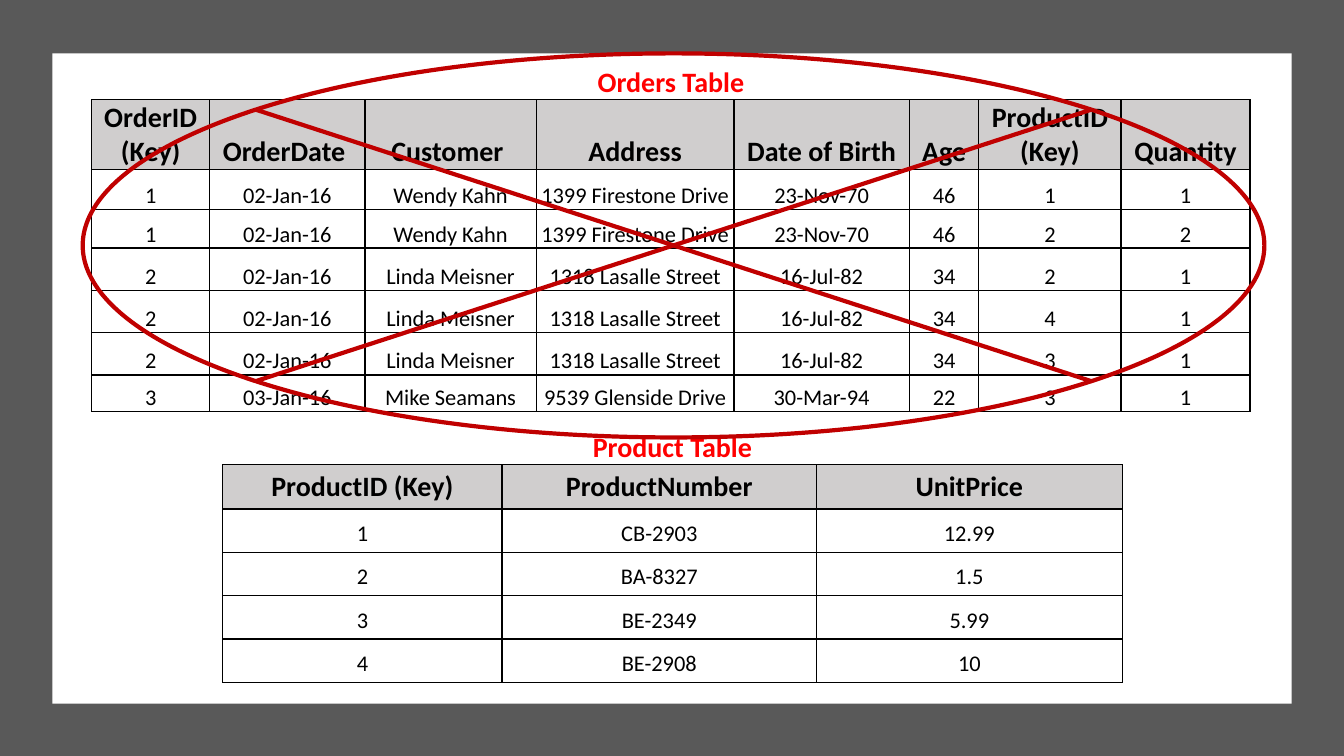
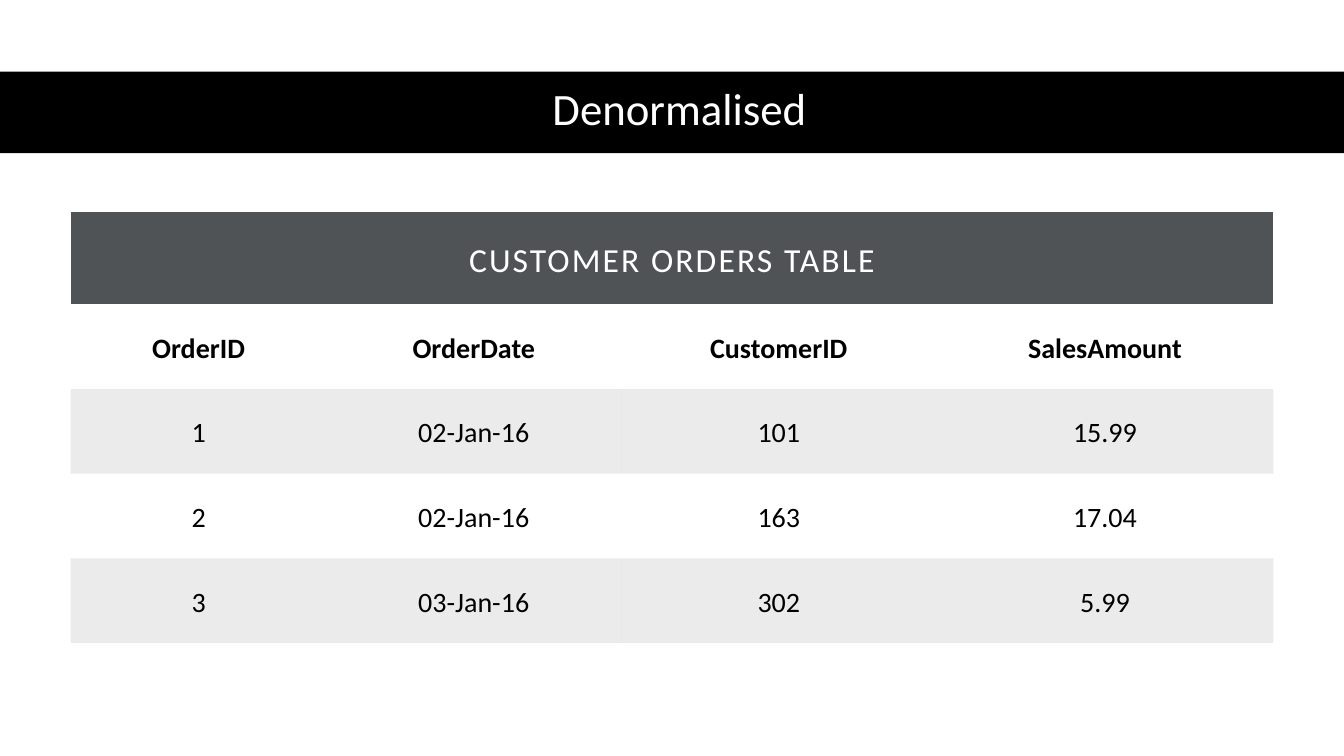
from lxml import etree
from pptx import Presentation
from pptx.dml.color import RGBColor
from pptx.enum.shapes import MSO_SHAPE as Shape
from pptx.enum.text import MSO_ANCHOR as Anchor, PP_ALIGN as Align
from pptx.oxml.ns import qn
from pptx.util import Inches, Pt

BLACK, WHITE, RED, CROSS_RED = "000000", "FFFFFF", "FF0000", "C00000"
BACKDROP, HEADER_GREY, TITLE_GREY = "595959", "D0CECE", "505356"
PLAIN_TABLE_STYLE = "{2D5ABB26-0587-4C30-8999-92F81FD0307C}"


def rgb(value):
    return RGBColor.from_string(value)


class Deck:
    """Holds the shared style and the slide being built."""

    font = "Calibri"

    def __init__(self):
        self.prs = Presentation()
        self.prs.slide_width, self.prs.slide_height = Inches(13.33), Inches(7.5)
        self.slide = None

    def new_slide(self, layout):
        self.slide = self.prs.slides.add_slide(
            self.prs.slide_layouts.get_by_name(layout))

    def shape(self, preset, left, top, width, height, fill=None, line=None):
        shape = self.slide.shapes.add_shape(
            preset, Inches(left), Inches(top), Inches(width), Inches(height))
        shape.shadow.inherit = False
        if fill:
            shape.fill.solid()
            shape.fill.fore_color.rgb = rgb(fill)
        else:
            shape.fill.background()
        if line:
            shape.line.color.rgb = rgb(line)
            shape.line.width = Pt(3)
        else:
            shape.line.fill.background()
        return shape

    def add_text(self, frame, text, size, color, bold=False, spacing=0):
        paragraph = frame.paragraphs[0]
        paragraph.alignment = Align.CENTER
        run = paragraph.add_run()
        run.text = text
        font = run.font
        font.name, font.size, font.bold = self.font, Pt(size), bold
        font.color.rgb = rgb(color)
        if spacing:
            run._r.get_or_add_rPr().set("spc", str(int(spacing * 100)))
        return paragraph

    def banner_title(self, text):
        band = self.shape(Shape.RECTANGLE, 0, 0.71, 13.33, 0.81, BLACK)
        title = self.slide.shapes.title
        title.element.addprevious(band.element)  # keep the title in front
        title.left, title.top = Inches(0.61), Inches(0.7)
        title.width, title.height = Inches(12.26), Inches(0.81)
        title.text_frame.vertical_anchor = Anchor.MIDDLE
        self.add_text(title.text_frame, text, 32, WHITE).line_spacing = 0.9

    def border(self, cell):
        properties = cell._tc.get_or_add_tcPr()
        for side in ("lnL", "lnR", "lnT", "lnB"):
            line = etree.SubElement(properties, qn("a:" + side), w=str(Pt(1)))
            solid = etree.SubElement(line, qn("a:solidFill"))
            etree.SubElement(solid, qn("a:srgbClr"), val=BLACK)

    def fill_cell(self, cell, color, opacity=100):
        cell.fill.solid()
        cell.fill.fore_color.rgb = rgb(color)
        if opacity < 100:
            tint = cell._tc.tcPr.find(".//" + qn("a:srgbClr"))
            etree.SubElement(tint, qn("a:alpha"), val=str(opacity * 1000))

    def table(self, left, top, columns, heights, title, records, title_font,
              body_size, inset, title_inset=None, title_fill=None,
              header_fill=None, grid=False, banded=False):
        """A merged title row, a bold header row, then the records."""
        table = self.slide.shapes.add_table(
            len(heights), len(columns), Inches(left), Inches(top),
            Inches(sum(columns)), Inches(sum(heights))).table
        table.first_row = table.horz_banding = False
        table._tbl.tblPr.find(qn("a:tableStyleId")).text = PLAIN_TABLE_STYLE
        for column, width in zip(table.columns, columns):
            column.width = Inches(width)
        for row, height in zip(table.rows, heights):
            row.height = Inches(height)

        title_cell = table.cell(0, 0)
        title_cell.merge(table.cell(0, len(columns) - 1))
        self.add_text(title_cell.text_frame, title, **title_font)
        if title_fill:
            self.fill_cell(title_cell, title_fill)

        for r, row in enumerate(table.rows):
            margins = title_inset if r == 0 and title_inset else inset
            for c, cell in enumerate(row.cells):
                cell.vertical_anchor = Anchor.BOTTOM
                (cell.margin_left, cell.margin_top, cell.margin_right,
                 cell.margin_bottom) = (Inches(m) for m in margins)
                if r == 0:
                    continue
                header = r == 1
                if grid:
                    self.border(cell)
                if header and header_fill:
                    self.fill_cell(cell, header_fill)
                elif banded and r % 2 == 0:
                    self.fill_cell(cell, BLACK, opacity=8)
                self.add_text(cell.text_frame, records[r - 1][c],
                              20 if header else body_size, BLACK, bold=header)


def crossed_out_slide(deck):
    deck.new_slide("Blank")
    deck.shape(Shape.RECTANGLE, 0, 0, 13.33, 7.5, BACKDROP)
    deck.shape(Shape.RECTANGLE, 0.52, 0.53, 12.29, 6.45, WHITE)
    tight = (0.01, 0.01, 0.01, 0)
    grid_style = dict(title_font=dict(size=20, color=RED, bold=True),
                      body_size=16, header_fill=HEADER_GREY, grid=True)

    # Orders: customer details repeat on every order line
    wendy = ("Wendy Kahn", "1399 Firestone Drive", "23-Nov-70", "46")
    linda = ("Linda Meisner", "1318 Lasalle Street", "16-Jul-82", "34")
    mike = ("Mike Seamans", "9539 Glenside Drive", "30-Mar-94", "22")
    order_lines = [
        ("1", "02-Jan-16", wendy, "1", "1"),
        ("1", "02-Jan-16", wendy, "2", "2"),
        ("2", "02-Jan-16", linda, "2", "1"),
        ("2", "02-Jan-16", linda, "4", "1"),
        ("2", "02-Jan-16", linda, "3", "1"),
        ("3", "03-Jan-16", mike, "3", "1"),
    ]
    orders = [("OrderID (Key)", "OrderDate ", "Customer ", "Address",
               "Date of Birth", "Age", "ProductID (Key)", "Quantity")]
    orders += [(order, date, *customer, product, quantity)
               for order, date, customer, product, quantity in order_lines]
    deck.table(0.91, 0.64, [1.17, 1.54, 1.7, 1.96, 1.74, 0.69, 1.41, 1.28],
               [0.35, 0.69, 0.4, 0.38, 0.42, 0.42, 0.42, 0.36],
               "Orders Table", orders, inset=tight, **grid_style)

    # Products
    products = [
        ("ProductID (Key)", "ProductNumber", "UnitPrice"),
        ("1", "CB-2903", "12.99"),
        ("2", "BA-8327", "1.5"),
        ("3", "BE-2349", "5.99"),
        ("4", "BE-2908", "10"),
    ]
    deck.table(2.21, 4.18, [2.77, 3.12, 3.03], [0.43] * 6, "Product Table",
               products, inset=(0.05,) * 4, title_inset=tight, **grid_style)

    # Cross over the orders table
    deck.shape(Shape.FLOWCHART_SUMMING_JUNCTION, 0.82, 0.53, 11.72, 3.81,
               line=CROSS_RED)


def denormalised_slide(deck):
    deck.new_slide("Title Only")
    deck.banner_title("Denormalised")
    customer_orders = [
        ("OrderID", "OrderDate", "CustomerID", "SalesAmount"),
        ("1", "02-Jan-16", "101", "15.99"),
        ("2", "02-Jan-16", "163", "17.04"),
        ("3", "03-Jan-16", "302", "5.99"),
    ]
    deck.table(0.7, 2.1, [2.54, 2.92, 3.13, 3.34], [0.92] + [0.84] * 4,
               "CUSTOMER ORDERS TABLE", customer_orders,
               title_font=dict(size=24, color=WHITE, spacing=1.5),
               body_size=20, inset=(0.23,) * 4, title_fill=TITLE_GREY,
               banded=True)


def main():
    deck = Deck()
    crossed_out_slide(deck)
    denormalised_slide(deck)
    deck.prs.save("out.pptx")


if __name__ == "__main__":
    main()
